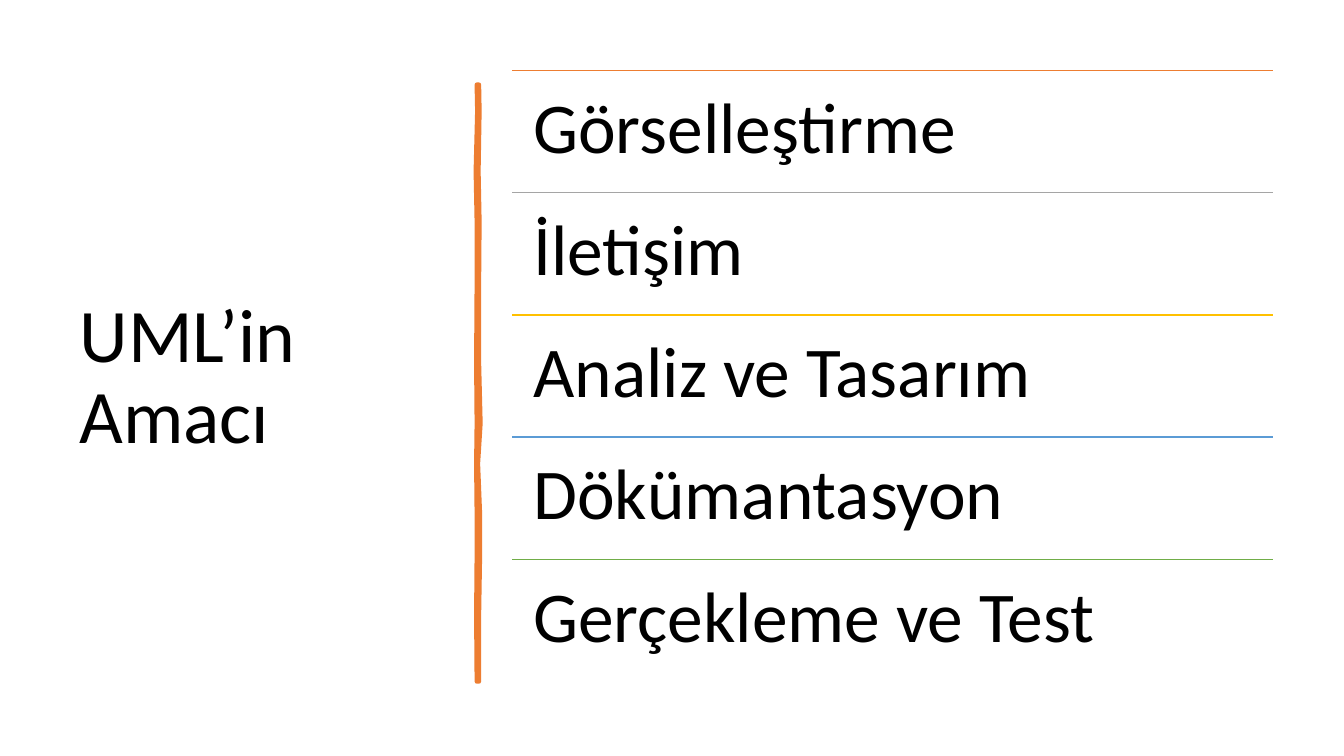
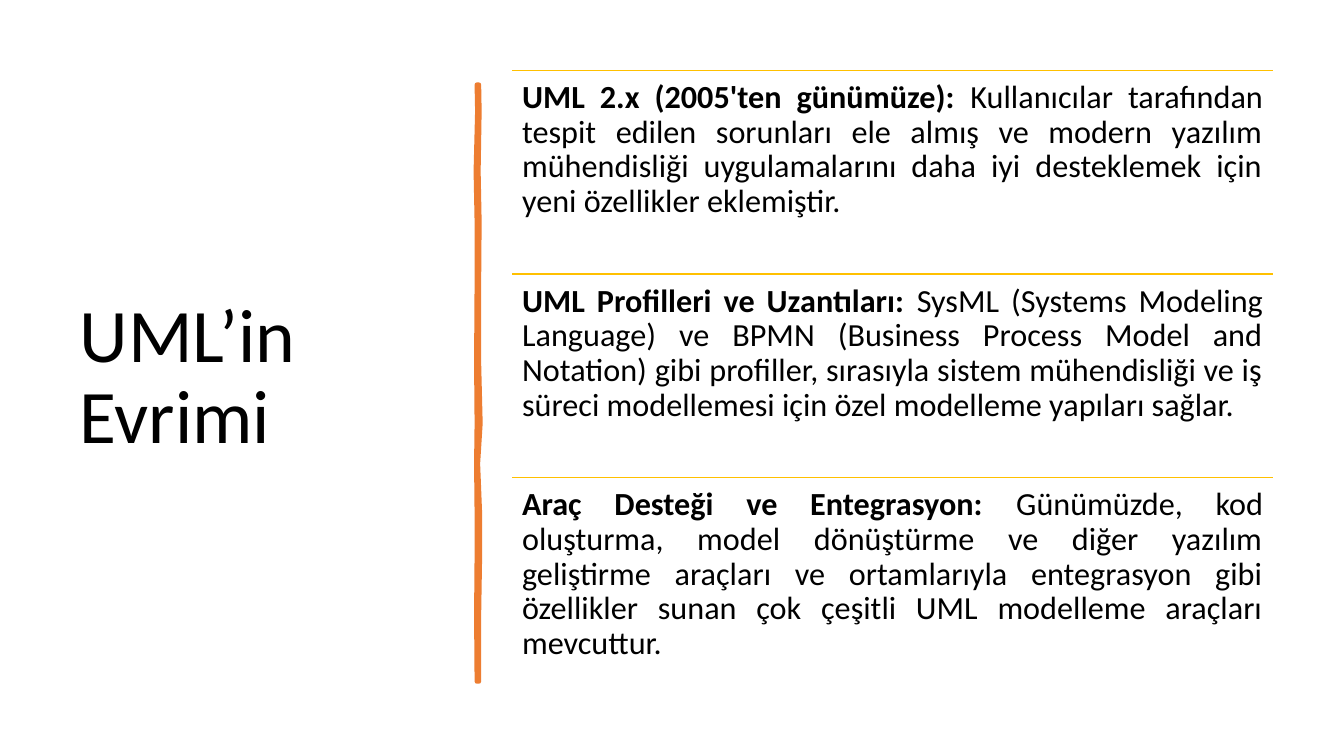
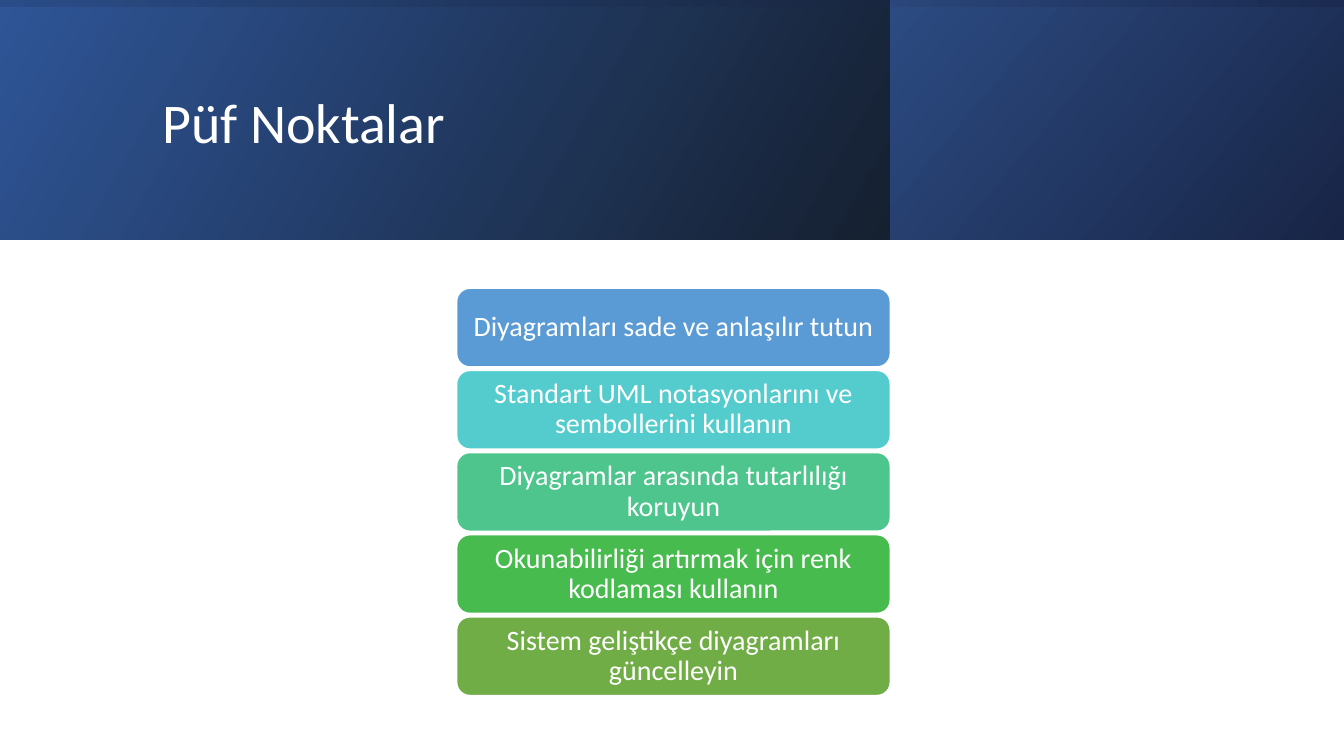
from lxml.etree import SubElement
from pptx import Presentation
from pptx.dml.color import RGBColor
from pptx.enum.shapes import MSO_CONNECTOR, MSO_SHAPE
from pptx.enum.text import MSO_ANCHOR, MSO_AUTO_SIZE, PP_ALIGN
from pptx.oxml.ns import qn
from pptx.util import Inches, Pt

FONT = "Calibri"
BLACK, WHITE, ORANGE, GOLD = "000000", "FFFFFF", "ED7D31", "FFC000"
LEFT, TOP, WIDE, TALL = 5.08, 0.7, 7.55, 6.06


def tint(code):
    return RGBColor.from_string(code)


def style(shape, size, color, align, anchor, pad):
    frame = shape.text_frame
    frame.word_wrap = True
    frame.auto_size = MSO_AUTO_SIZE.NONE
    frame.vertical_anchor = anchor
    frame.margin_left = frame.margin_right = Inches(pad[0])
    frame.margin_top = frame.margin_bottom = Inches(pad[1])
    for para in frame.paragraphs:
        para.alignment = align
        para.line_spacing = 0.9
        for run in para.runs:
            run.font.name = FONT
            run.font.size = Pt(size)
            run.font.color.rgb = tint(color)


deck = Presentation()
deck.slide_width, deck.slide_height = Inches(13.33), Inches(7.5)
plain = deck.slide_layouts[5]

goals = [
    ("", "Görselleştirme", ORANGE),
    ("", "İletişim", "A5A5A5"),
    ("", "Analiz ve Tasarım", GOLD),
    ("", "Dökümantasyon", "5B9BD5"),
    ("", "Gerçekleme ve Test", "70AD47"),
]
steps = [
    ("UML 2.x (2005'ten günümüze): ",
     "Kullanıcılar tarafından tespit edilen sorunları ele almış ve modern yazılım "
     "mühendisliği uygulamalarını daha iyi desteklemek için yeni özellikler eklemiştir.", GOLD),
    ("UML Profilleri ve Uzantıları: ",
     "SysML (Systems Modeling Language) ve BPMN (Business Process Model and Notation) "
     "gibi profiller, sırasıyla sistem mühendisliği ve iş süreci modellemesi için özel "
     "modelleme yapıları sağlar.", GOLD),
    ("Araç Desteği ve Entegrasyon: ",
     "Günümüzde, kod oluşturma, model dönüştürme ve diğer yazılım geliştirme araçları ve "
     "ortamlarıyla entegrasyon gibi özellikler sunan çok çeşitli UML modelleme araçları "
     "mevcuttur.", GOLD),
]
lists = [
    ("UML’in Amacı", goals, 51, 0.21, PP_ALIGN.LEFT),
    ("UML’in Evrimi", steps, 23, 0.1, PP_ALIGN.JUSTIFY),
]
wave = [
    (840, 4730, 4750), (1100, 4735, 4755), (1700, 4720, 4745), (2200, 4730, 4755),
    (2800, 4730, 4750), (3600, 4725, 4750), (4200, 4730, 4765), (4600, 4725, 4740),
    (5100, 4730, 4760), (5500, 4730, 4760), (6100, 4725, 4750), (6760, 4730, 4750),
]
edge = [(right, y) for y, left, right in wave]
edge += [(left, y) for y, left, right in reversed(wave)]

for head, rows, size, pad, align in lists:
    slide = deck.slides.add_slide(plain)
    title = slide.shapes.title
    title.left, title.top = Inches(0.69), Inches(TOP)
    title.width, title.height = Inches(3.74), Inches(6.11)
    title.text_frame.text = head
    style(title, 54, BLACK, PP_ALIGN.LEFT, MSO_ANCHOR.MIDDLE, (0.1, 0.05))

    pen = slide.shapes.build_freeform(*edge[0], scale=Inches(1) / 1000)
    pen.add_line_segments(edge[1:], close=True)
    brush = pen.convert_to_shape()
    brush.shadow.inherit = False
    brush.fill.solid()
    brush.fill.fore_color.rgb = tint(ORANGE)
    brush.line.color.rgb = tint(ORANGE)
    brush.line.width = Pt(3.25)

    step = TALL / len(rows)
    for row, (lead, body, color) in enumerate(rows):
        y = Inches(TOP + row * step)
        rule = slide.shapes.add_connector(
            MSO_CONNECTOR.STRAIGHT, Inches(LEFT), y, Inches(LEFT + WIDE), y)
        rule.line.color.rgb = tint(color)
        rule.line.width = Pt(1)
        SubElement(rule.element.spPr, qn("a:effectLst"))
        box = slide.shapes.add_textbox(Inches(LEFT), y, Inches(WIDE), Inches(step))
        para = box.text_frame.paragraphs[0]
        if lead:
            bold = para.add_run()
            bold.text = lead
            bold.font.bold = True
        para.add_run().text = body
        style(box, size, BLACK, align, MSO_ANCHOR.TOP, (pad, pad))

slide = deck.slides.add_slide(plain)
bands = [
    (0, 8.83, 0, 2.38, "2F5597", "152030", 330),
    (8.83, 4.5, 0, 2.38, "2C4B82", "182546", 320),
    (0, 8.83, 0, 0.07, "2A4C87", "18263F", 350),
    (8.83, 4.5, 0, 0.07, "2A467A", "1A2A50", 350),
]
for x, wide, y, tall, start, stop, angle in bands:
    band = slide.shapes.add_shape(
        MSO_SHAPE.RECTANGLE, Inches(x), Inches(y), Inches(wide), Inches(tall))
    band.shadow.inherit = False
    band.line.fill.background()
    band.fill.gradient()
    band.fill.gradient_angle = angle
    for mark, code, place in zip(band.fill.gradient_stops, (start, stop), (0, 1)):
        mark.color.rgb = tint(code)
        mark.position = place

title = slide.shapes.title
title.left, title.top = Inches(1.51), Inches(0.38)
title.width, title.height = Inches(10.63), Inches(1.72)
title.text_frame.text = "Püf Noktalar"
style(title, 40, WHITE, PP_ALIGN.LEFT, MSO_ANCHOR.MIDDLE, (0.1, 0.05))
title.element.getparent().append(title.element)

tips = [
    ("Diyagramları sade ve anlaşılır tutun", "5B9BD5"),
    ("Standart UML notasyonlarını ve sembollerini kullanın", "54CCCD"),
    ("Diyagramlar arasında tutarlılığı koruyun", "4DC58D"),
    ("Okunabilirliği artırmak için renk kodlaması kullanın", "48BB4F"),
    ("Sistem geliştikçe diyagramları güncelleyin", "70AD47"),
]
pitch = (6.12 - 2.86) / (len(tips) - 1)
for row, (tip, color) in enumerate(tips):
    card = slide.shapes.add_shape(
        MSO_SHAPE.ROUNDED_RECTANGLE, Inches(4.53), Inches(2.86 + row * pitch),
        Inches(4.3), Inches(0.78))
    card.shadow.inherit = False
    card.fill.solid()
    card.fill.fore_color.rgb = tint(color)
    card.line.color.rgb = tint(WHITE)
    card.line.width = Pt(1)
    card.text_frame.text = tip
    style(card, 20, WHITE, PP_ALIGN.CENTER, MSO_ANCHOR.MIDDLE, (0.08, 0.04))

deck.save("out.pptx")
